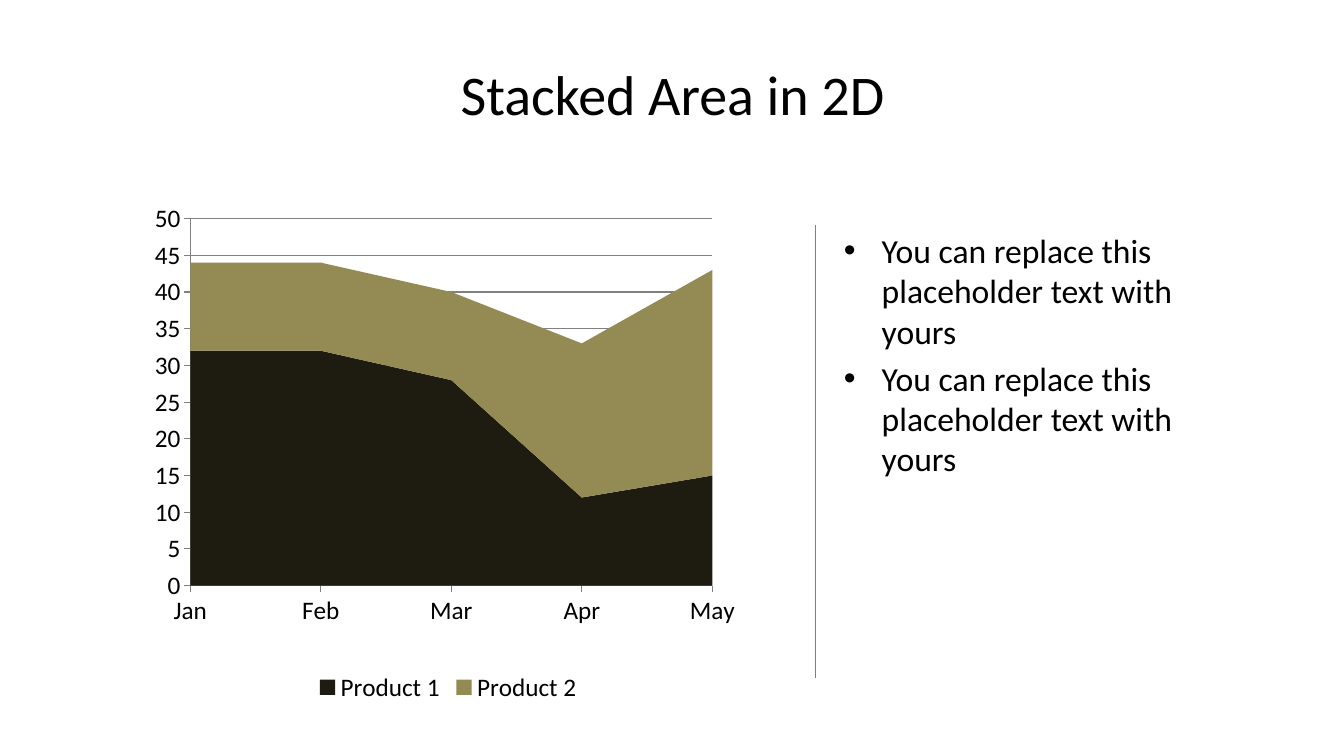
from lxml import etree
from pptx import Presentation
from pptx.chart.data import CategoryChartData
from pptx.dml.color import RGBColor
from pptx.enum.chart import XL_CHART_TYPE as ChartType
from pptx.enum.chart import XL_LEGEND_POSITION as LegendPosition
from pptx.enum.chart import XL_TICK_MARK as TickMark
from pptx.enum.shapes import MSO_CONNECTOR as Connector
from pptx.enum.text import MSO_ANCHOR as Anchor
from pptx.enum.text import MSO_AUTO_SIZE as AutoSize
from pptx.enum.text import PP_ALIGN as Align
from pptx.oxml import parse_xml
from pptx.oxml.ns import nsdecls, qn
from pptx.util import Inches, Pt

FONT = "Calibri"
BLACK, GRAY = "000000", "808080"
MONTHS = ["Jan", "Feb", "Mar", "Apr", "May"]
PRODUCTS = [
    ("Product 1", [32, 32, 28, 12, 15], "1E1C11"),
    ("Product 2", [12, 12, 12, 21, 28], "948A54"),
]
PLOT_SHARES = {"x": 0.096, "y": 0.045, "w": 0.818, "h": 0.717}


def color(hex_code):
    return RGBColor.from_string(hex_code)


def style_font(font, size):
    font.name, font.size = FONT, Pt(size)
    font.color.rgb = color(BLACK)


def style_line(line, width=0.75):
    line.color.rgb = color(GRAY)
    line.width = Pt(width)


def fill_text(shape, lines, size, align, anchor, gap=0):
    frame = shape.text_frame
    frame.word_wrap = True
    frame.auto_size = AutoSize.NONE
    frame.vertical_anchor = anchor
    for index, line in enumerate(lines):
        para = frame.add_paragraph() if index else frame.paragraphs[0]
        para.alignment = align
        para.space_before = Pt(gap if index else 0)
        span = para.add_run()
        span.text = line
        style_font(span.font, size)


def place(shape, box):
    shape.left, shape.top, shape.width, shape.height = map(Inches, box)


def add_title(page, box):
    place(page.shapes.title, box)
    fill_text(page.shapes.title, ["Stacked Area in 2D"], 40, Align.CENTER, Anchor.MIDDLE)


def add_bullets(page, box):
    body = page.placeholders[1]
    place(body, box)
    lines = ["You can replace this placeholder text with yours"] * 2
    fill_text(body, lines, 24, Align.LEFT, Anchor.TOP, gap=4.8)


def add_divider(page, left, top, height):
    ends = map(Inches, (left, top, left, top + height))
    divider = page.shapes.add_connector(Connector.STRAIGHT, *ends)
    style_line(divider.line)
    etree.SubElement(divider._element.spPr, qn("a:effectLst"))


def fix_plot_area(chart):
    """Pin the inner plot area and start the areas on the value axis."""
    plot_area = chart.plots[0]._element.getparent()
    for layout in plot_area.findall(qn("c:layout")):
        plot_area.remove(layout)
    modes = "".join(f'<c:{side}Mode val="edge"/>' for side in "xy")
    shares = "".join(f'<c:{side} val="{share}"/>' for side, share in PLOT_SHARES.items())
    plot_area.insert(0, parse_xml(
        f'<c:layout {nsdecls("c")}><c:manualLayout><c:layoutTarget val="inner"/>'
        f"{modes}{shares}</c:manualLayout></c:layout>"))
    for crossing in plot_area.iter(qn("c:crossBetween")):
        crossing.set("val", "midCat")


def add_area_chart(page, box):
    data = CategoryChartData()
    data.categories = MONTHS
    for name, values, _ in PRODUCTS:
        data.add_series(name, values)
    chart = page.shapes.add_chart(ChartType.AREA_STACKED, *map(Inches, box), data).chart
    chart.has_title = False
    style_font(chart.font, 18)
    for series, (_, _, fill) in zip(chart.plots[0].series, PRODUCTS):
        series.format.fill.solid()
        series.format.fill.fore_color.rgb = color(fill)
    for axis in (chart.category_axis, chart.value_axis):
        axis.major_tick_mark = TickMark.OUTSIDE
        axis.minor_tick_mark = TickMark.NONE
        style_line(axis.format.line)
    scale = chart.value_axis
    scale.minimum_scale, scale.maximum_scale, scale.major_unit = 0, 50, 5
    scale.has_major_gridlines = True
    style_line(scale.major_gridlines.format.line)
    chart.category_axis.has_major_gridlines = False
    chart.has_legend = True
    chart.legend.position = LegendPosition.BOTTOM
    chart.legend.include_in_layout = False
    fix_plot_area(chart)


def main():
    deck = Presentation()
    deck.slide_width, deck.slide_height = Inches(13.33), Inches(7.5)
    page = deck.slides.add_slide(deck.slide_layouts[1])
    add_title(page, (0.67, 0.3, 12, 1.25))
    add_bullets(page, (8.27, 2.23, 3.88, 4.69))
    add_area_chart(page, (1.28, 1.94, 6.33, 5.08))
    add_divider(page, 8.09, 2.23, 4.5)
    deck.save("out.pptx")


if __name__ == "__main__":
    main()
